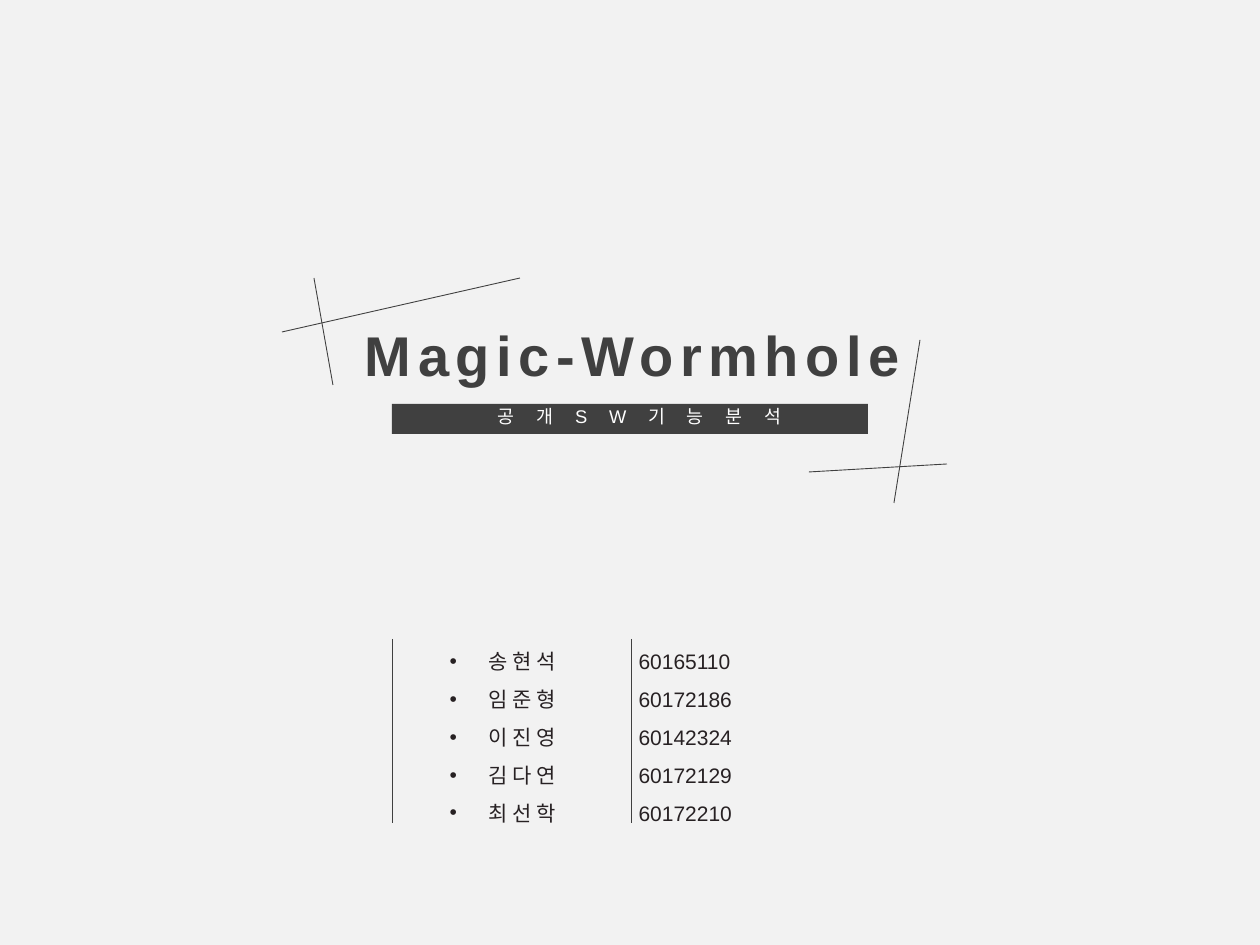
from lxml import etree
from pptx import Presentation
from pptx.dml.color import RGBColor
from pptx.enum.shapes import MSO_CONNECTOR, MSO_SHAPE
from pptx.enum.text import MSO_ANCHOR, MSO_AUTO_SIZE, PP_ALIGN
from pptx.oxml.ns import qn
from pptx.util import Pt

PX = 914400 / 126
PAPER = RGBColor(0xF2, 0xF2, 0xF2)
CHARCOAL = RGBColor(0x40, 0x40, 0x40)
INK = RGBColor(0x27, 0x21, 0x23)
WHITE = RGBColor(0xFF, 0xFF, 0xFF)
STRAIGHT = MSO_CONNECTOR.STRAIGHT
RECTANGLE = MSO_SHAPE.RECTANGLE
TOP = MSO_ANCHOR.TOP
NO_FIT = MSO_AUTO_SIZE.NONE
CENTER, LEFT = PP_ALIGN.CENTER, PP_ALIGN.LEFT


def emu(*lengths):
    return [round(length * PX) for length in lengths]


def write(box, place, lines, size, color, align, bold=False, spacing=0):
    box.left, box.top, box.width, box.height = emu(*place)
    frame = box.text_frame
    frame.text = "\n".join(lines)
    frame.word_wrap = True
    frame.auto_size = NO_FIT
    frame.vertical_anchor = TOP
    for para in frame.paragraphs:
        para.alignment = align
        para.font.name = "Arial"
        para.font.size = Pt(size)
        para.font.bold = bold
        para.font.color.rgb = color
        if spacing:
            for span in para.runs:
                span.font._element.set("spc", str(spacing))
    return frame.paragraphs


deck = Presentation()
deck.slide_width, deck.slide_height = emu(1260, 945)
page = deck.slides.add_slide(deck.slide_layouts[1])
page.background.fill.solid()
page.background.fill.fore_color.rgb = PAPER

# Title
write(page.shapes.title, (300, 314, 665, 81), ["Magic-Wormhole"],
      32, CHARCOAL, CENTER, bold=True, spacing=370)

# Subtitle on its dark band
band = page.shapes.add_shape(RECTANGLE, *emu(392, 404, 476, 30))
band.shadow.inherit = False
band.fill.solid()
band.fill.fore_color.rgb = CHARCOAL
band.line.fill.background()
subtitle = page.shapes.add_textbox(0, 0, 0, 0)
write(subtitle, (377, 399, 525, 37), ["공개SW기능분석"],
      10.5, WHITE, CENTER, spacing=1250)

# Team members and student numbers
members = [
    ("송 현 석", "60165110"),
    ("임 준 형", "60172186"),
    ("이 진 영", "60142324"),
    ("김 다 연", "60172129"),
    ("최 선 학", "60172210"),
]
rows = [f"{name}\t\t{number}" for name, number in members]
hanging = emu(39)[0]
for para in write(page.placeholders[1], (437, 630, 484, 204), rows, 12, INK, LEFT):
    para.line_spacing = 1.5
    para.space_before = Pt(0)
    properties = para._p.get_or_add_pPr()
    properties.set("marL", str(hanging))
    properties.set("indent", str(-hanging))

# Crossed strokes around the title, then the rules beside the names
strokes = [
    (809, 472, 947, 464),
    (920, 340, 894, 503),
    (282, 332, 520, 278),
    (314, 278, 333, 385),
    (631, 639, 631, 823),
    (392, 639, 392, 823),
]
for ends in strokes:
    stroke = page.shapes.add_connector(STRAIGHT, *emu(*ends))
    stroke.line.color.rgb = CHARCOAL
    stroke.line.width = Pt(0.5)
    etree.SubElement(stroke._element.spPr, qn("a:effectLst"))

deck.save("out.pptx")
